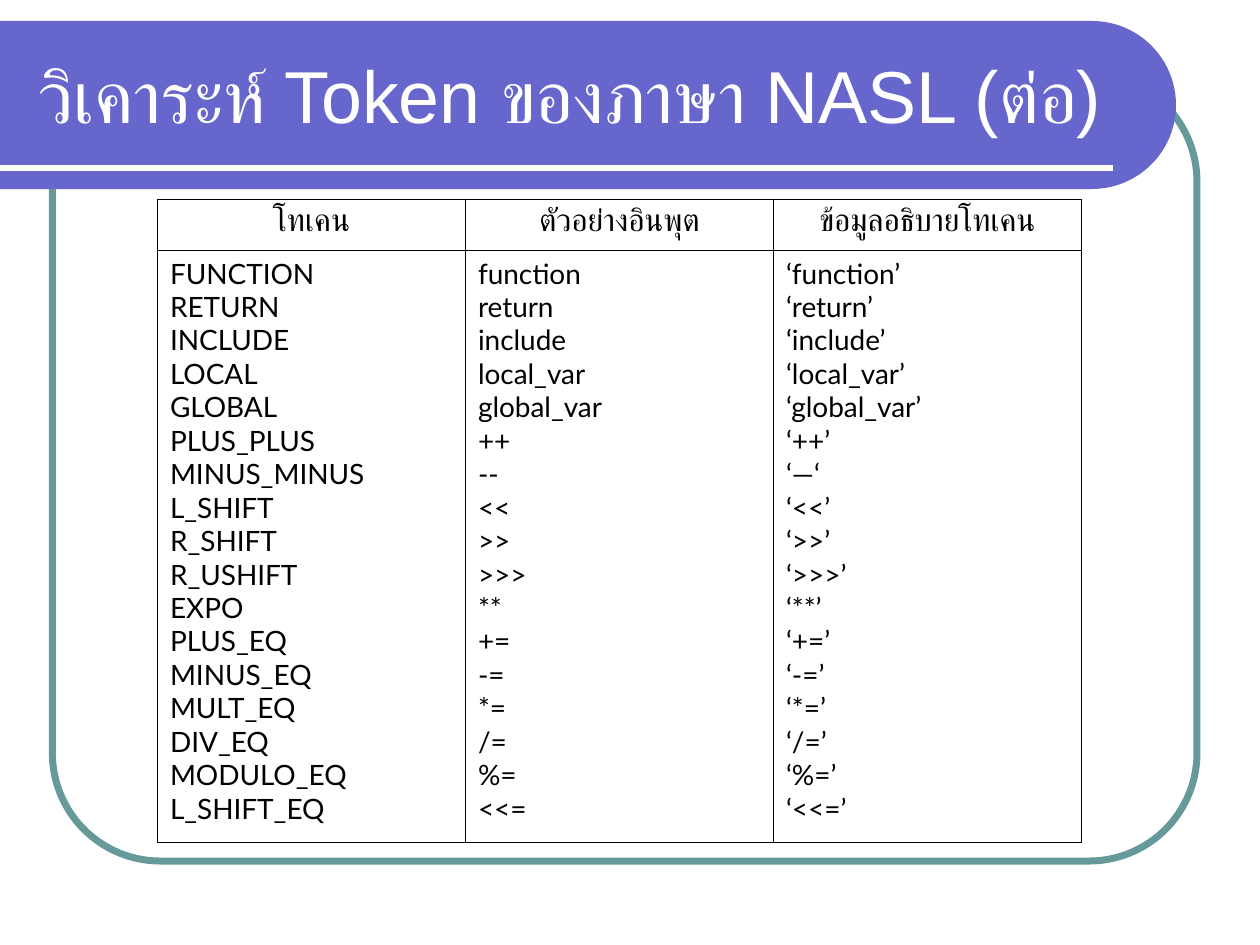
from math import cos, pi, sin

from lxml import etree
from pptx import Presentation
from pptx.dml.color import RGBColor
from pptx.enum.shapes import MSO_CONNECTOR, MSO_SHAPE
from pptx.enum.text import MSO_ANCHOR, PP_ALIGN
from pptx.oxml.ns import qn
from pptx.util import Pt

ROUNDED = MSO_SHAPE.ROUNDED_RECTANGLE
STRAIGHT = MSO_CONNECTOR.STRAIGHT
MIDDLE = MSO_ANCHOR.MIDDLE
LEFT, CENTER = PP_ALIGN.LEFT, PP_ALIGN.CENTER

HEADERS = ["โทเคน", "ตัวอย่างอินพุต", "ข้อมูลอธิบายโทเคน"]
TOKENS = [
    ("FUNCTION", "function"), ("RETURN", "return"), ("INCLUDE", "include"),
    ("LOCAL", "local_var"), ("GLOBAL", "global_var"), ("PLUS_PLUS", "++"),
    ("MINUS_MINUS", "--"), ("L_SHIFT", "<<"), ("R_SHIFT", ">>"),
    ("R_USHIFT", ">>>"), ("EXPO", "**"), ("PLUS_EQ", "+="),
    ("MINUS_EQ", "-="), ("MULT_EQ", "*="), ("DIV_EQ", "/="),
    ("MODULO_EQ", "%="), ("L_SHIFT_EQ", "<<="),
]


def color(value):
    return RGBColor.from_string(value)


def add_borders(cell, value, width):
    properties = cell._tc.get_or_add_tcPr()
    for index, side in enumerate(("a:lnL", "a:lnR", "a:lnT", "a:lnB")):
        border = etree.Element(qn(side), w=str(Pt(width)))
        fill = etree.SubElement(border, qn("a:solidFill"))
        etree.SubElement(fill, qn("a:srgbClr"), val=value)
        properties.insert(index, border)


deck = Presentation()
deck.slide_width, deck.slide_height = Pt(720), Pt(540)
page = deck.slides.add_slide(deck.slide_layouts[5])
shapes = page.shapes

frame = shapes.add_shape(ROUNDED, Pt(30), Pt(42), Pt(654), Pt(450))
frame.adjustments[0] = 0.137
frame.shadow.inherit = False
frame.fill.background()
frame.line.color.rgb = color("669999")
frame.line.width = Pt(4)

# Title band: square on the left, a half circle on the right
radius, center_x, center_y, steps = 48, 624, 60, 48
angles = [-pi / 2 + pi * step / steps for step in range(steps + 1)]
arc = [(Pt(center_x + radius * cos(a)), Pt(center_y + radius * sin(a))) for a in angles]
builder = shapes.build_freeform(0, Pt(center_y - radius))
builder.add_line_segments(arc + [(0, Pt(center_y + radius))], close=True)
band = builder.convert_to_shape()
band.shadow.inherit = False
band.fill.solid()
band.fill.fore_color.rgb = color("6666CC")
band.line.fill.background()

rule = shapes.add_connector(STRAIGHT, 0, Pt(96), Pt(636), Pt(96))
rule.line.color.rgb = color("FFFFFF")
rule.line.width = Pt(3)
etree.SubElement(rule.element.spPr, qn("a:effectLst"))

title = shapes.title
shapes.element.append(title.element)  # in front of the band
title.left, title.top, title.width, title.height = Pt(15), Pt(18), Pt(631.5), Pt(72)
title.text_frame.vertical_anchor = MIDDLE
title.text_frame.text = "วิเคาระห์ Token ของภาษา NASL (ต่อ)"
para = title.text_frame.paragraphs[0]
para.alignment = LEFT
para.font.name = "Arial"
para.font.size = Pt(42)
para.font.color.rgb = color("FFFFFF")

names, inputs = zip(*TOKENS)
descriptions = ["‘—‘" if text == "--" else f"‘{text}’" for text in inputs]
columns = [names, inputs, descriptions]

table = shapes.add_table(2, 3, Pt(90), Pt(114), Pt(528), Pt(367.5)).table
table.first_row = table.horz_banding = False
table.rows[0].height, table.rows[1].height = Pt(29), Pt(338.5)
for index, (header, lines) in enumerate(zip(HEADERS, columns)):
    table.columns[index].width = Pt(176)
    for row, text, size, alignment in (
        (0, header, 18, CENTER),
        (1, "\n".join(lines), 16, LEFT),
    ):
        cell = table.cell(row, index)
        cell.fill.background()
        add_borders(cell, "000000", 0.45)
        cell.text_frame.text = text
        for para in cell.text_frame.paragraphs:
            para.alignment = alignment
            para.font.name = "Lato"
            para.font.size = Pt(size)
            para.font.color.rgb = color("000000")

deck.save("out.pptx")
